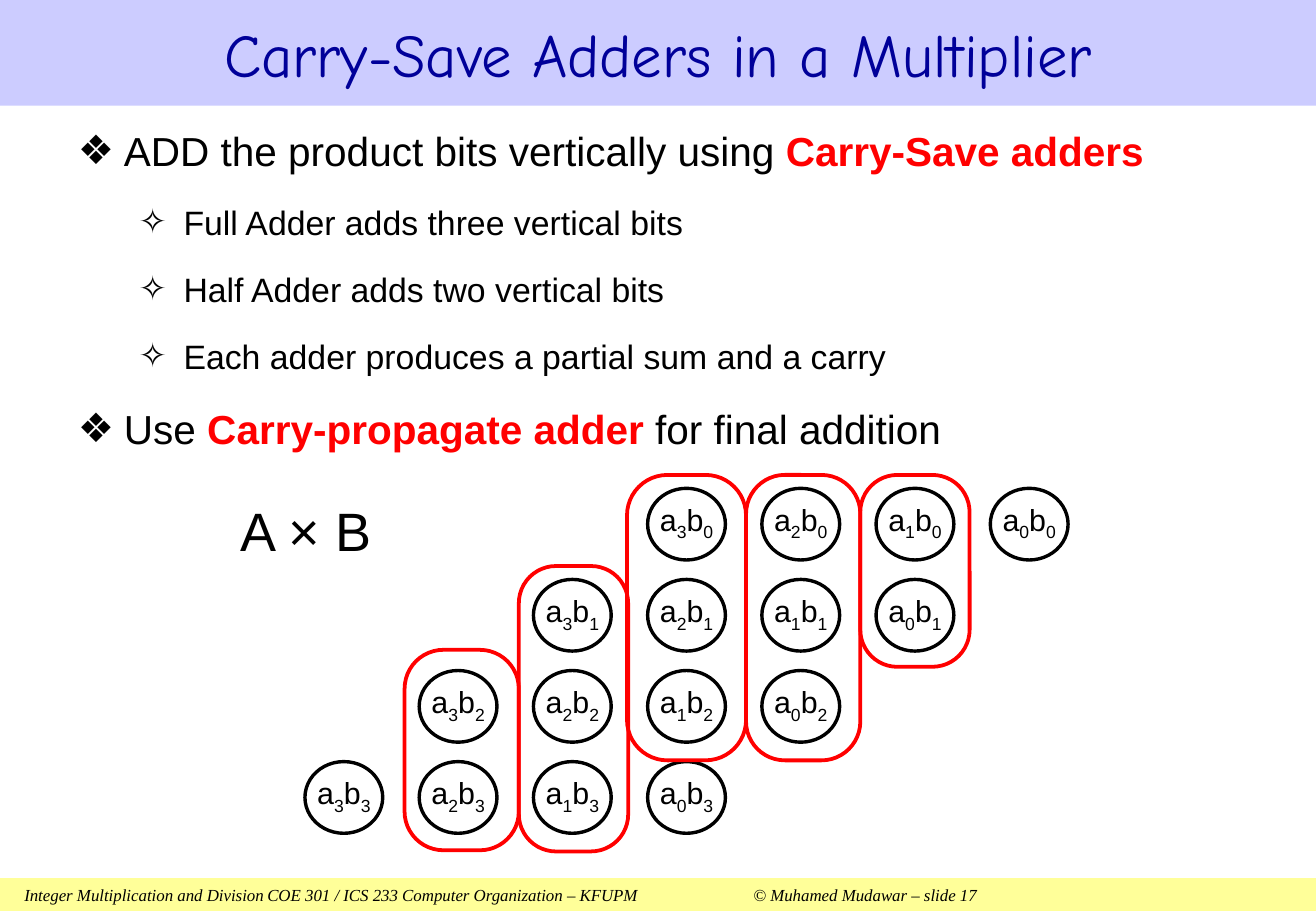
import pptx
import pptx.util
import pptx.dml.color
import pptx.enum.shapes
import pptx.enum.text
from lxml import etree
from pptx.util import Inches

SHAPE = pptx.enum.shapes.MSO_SHAPE
ALIGN = pptx.enum.text.PP_ALIGN
MIDDLE = pptx.enum.text.MSO_ANCHOR.MIDDLE
NO_FIT = pptx.enum.text.MSO_AUTO_SIZE.NONE
BLACK, RED = "000000", "FF0000"

TOPICS = [
    (0, [("ADD the product bits vertically using ", False), ("Carry-Save adders", True)]),
    (1, [("Full Adder adds three vertical bits", False)]),
    (1, [("Half Adder adds two vertical bits", False)]),
    (1, [("Each adder produces a partial sum and a carry", False)]),
    (0, [("Use ", False), ("Carry-propagate adder ", True), ("for final addition", False)]),
]
TOPIC_LEVELS = [("❖", 24, 0.38, -0.38), ("✧", 20, 0.87, -0.37)]
ADDER_COLUMNS = [
    (4.61, 0, 0.9, 1.58),
    (3.67, 0, 0.94, 2.35),
    (2.69, 0, 0.98, 2.35),
    (1.8, 0.75, 0.9, 2.35),
    (0.86, 1.44, 0.94, 1.65),
]
BITS = 4


def color(value):
    """Return the RGB colour for a hex string."""
    return pptx.dml.color.RGBColor.from_string(value)


def set_font(font, name, size, shade):
    """Set typeface, point size and colour."""
    font.name = name
    font.size = pptx.util.Pt(size)
    font.color.rgb = color(shade)


def add_ppr_child(paragraph, tag, **attributes):
    """Append an element to the paragraph properties and return it."""
    properties = paragraph._p.get_or_add_pPr()
    return etree.SubElement(properties, pptx.oxml.ns.qn(tag), attributes)


def add_outline(slide, kind, box, shade, weight):
    """Draw an unfilled preset shape in the box."""
    outline = slide.shapes.add_shape(kind, *map(Inches, box))
    outline.shadow.inherit = False
    outline.fill.background()
    outline.line.color.rgb = color(shade)
    outline.line.width = pptx.util.Pt(weight)
    return outline


def place(placeholder, box):
    """Move a placeholder to the box."""
    placeholder.left, placeholder.top, placeholder.width, placeholder.height = map(Inches, box)
    placeholder.text_frame.auto_size = NO_FIT


def add_footer(slide, box):
    """Draw the course band at the bottom."""
    band = slide.shapes.add_shape(SHAPE.RECTANGLE, *map(Inches, box))
    band.shadow.inherit = False
    band.fill.solid()
    band.fill.fore_color.rgb = color("FFFF99")
    band.line.fill.background()
    frame = band.text_frame
    frame.margin_left = Inches(0.2)
    frame.margin_top = frame.margin_bottom = 0
    frame.vertical_anchor = MIDDLE
    course = frame.paragraphs[0]
    course.text = ("Integer Multiplication and Division\t"
                   "COE 301 / ICS 233 Computer Organization – KFUPM\t"
                   "© Muhamed Mudawar – slide 17")
    course.alignment = ALIGN.LEFT
    stops = add_ppr_child(course, "a:tabLst")
    for stop in (2, 6):
        etree.SubElement(stops, pptx.oxml.ns.qn("a:tab"), pos=str(Inches(stop)), algn="l")
    set_font(course.font, "Times New Roman", 10, BLACK)
    course.font.italic = True


def add_title(slide, box):
    """Fill the title band."""
    title = slide.shapes.title
    place(title, box)
    title.fill.solid()
    title.fill.fore_color.rgb = color("CCCCFF")
    title.text_frame.vertical_anchor = MIDDLE
    heading = title.text_frame.paragraphs[0]
    heading.text = "Carry-Save Adders in a Multiplier"
    heading.alignment = ALIGN.CENTER
    set_font(heading.font, "Comic Neue", 36, "000099")


def add_topics(slide, box):
    """Fill the body with the two-level list."""
    body = slide.placeholders[1]
    place(body, box)
    frame = body.text_frame
    frame.margin_top = Inches(0.07)
    for index, (level, parts) in enumerate(TOPICS):
        topic = frame.add_paragraph() if index else frame.paragraphs[0]
        bullet, size, margin, indent = TOPIC_LEVELS[level]
        topic.level = level
        properties = topic._p.get_or_add_pPr()
        properties.set("marL", str(Inches(margin)))
        properties.set("indent", str(Inches(indent)))
        add_ppr_child(topic, "a:buChar", char=bullet)
        topic.space_before = pptx.util.Pt(15 if index else 0)
        topic.line_spacing = 1.04
        set_font(topic.font, "Arial", size, BLACK)
        for text, emphasized in parts:
            run = topic.add_run()
            run.text = text
            if emphasized:
                run.font.bold = True
                run.font.color.rgb = color(RED)


def add_product(slide, a_bit, b_bit, box):
    """Draw one partial product bit in a bubble."""
    left, top, width, height = box
    label = slide.shapes.add_textbox(
        *map(Inches, (left - 0.04, top + 0.08, width + 0.08, height - 0.2)))
    frame = label.text_frame
    frame.word_wrap = True
    frame.vertical_anchor = MIDDLE
    frame.margin_left = frame.margin_right = frame.margin_top = frame.margin_bottom = 0
    product = frame.paragraphs[0]
    product.alignment = ALIGN.CENTER
    set_font(product.font, "Arial", 18, BLACK)
    for factor, bit in (("a", a_bit), ("b", b_bit)):
        product.add_run().text = factor
        subscript = product.add_run()
        subscript.text = str(bit)
        subscript._r.get_or_add_rPr().set("baseline", "-25000")
    add_outline(slide, SHAPE.OVAL, box, BLACK, 2)


def add_multiplier(slide, box):
    """Draw the product bits and the adder columns around them."""
    left, top, width, height = box
    expression = slide.shapes.add_textbox(*map(Inches, (left - 0.76, top + 0.14, 1.62, 0.64)))
    expression.text_frame.word_wrap = True
    formula = expression.text_frame.paragraphs[0]
    formula.text = "A × B"
    formula.alignment = ALIGN.CENTER
    set_font(formula.font, "Arial", 32, BLACK)
    for b_bit in range(BITS):
        for a_bit in range(BITS):
            bubble_left = left + width - 0.64 - 0.94 * (a_bit + b_bit)
            add_product(slide, a_bit, b_bit,
                        (bubble_left, top + 0.11 + 0.75 * b_bit, 0.64, 0.59))
    for x, y, column_width, column_height in ADDER_COLUMNS:
        column = add_outline(slide, SHAPE.ROUNDED_RECTANGLE,
                             (left + x, top + y, column_width, column_height), RED, 2.25)
        column.adjustments[0] = 0.34


def main():
    """Build and save the slide."""
    deck = pptx.Presentation()
    deck.slide_width, deck.slide_height = Inches(10.83), Inches(7.5)
    slide = deck.slides.add_slide(deck.slide_layouts[1])
    add_footer(slide, (0, 7.23, 10.83, 0.27))
    add_title(slide, (0, 0, 10.83, 0.87))
    add_topics(slide, (0.54, 0.95, 10.04, 2.91))
    add_multiplier(slide, (2.47, 3.91, 6.32, 3.1))
    deck.save("out.pptx")


if __name__ == "__main__":
    main()
